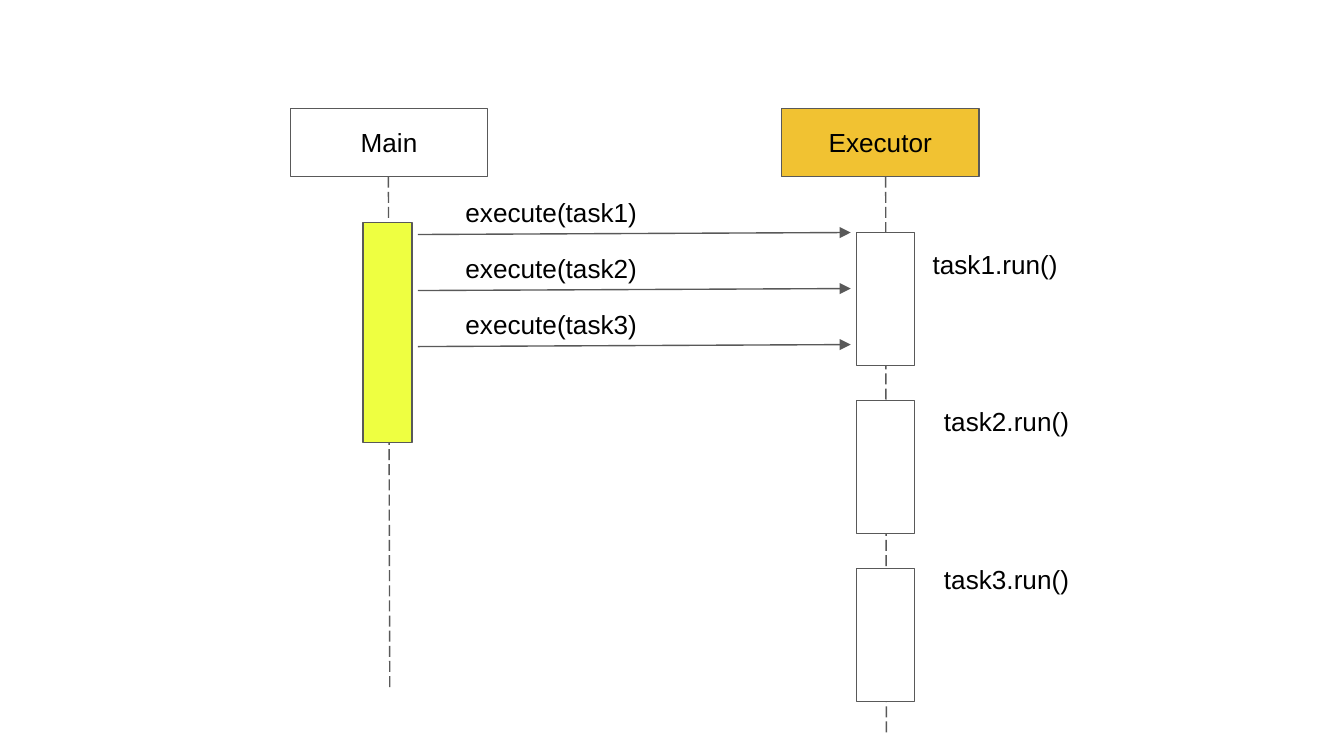
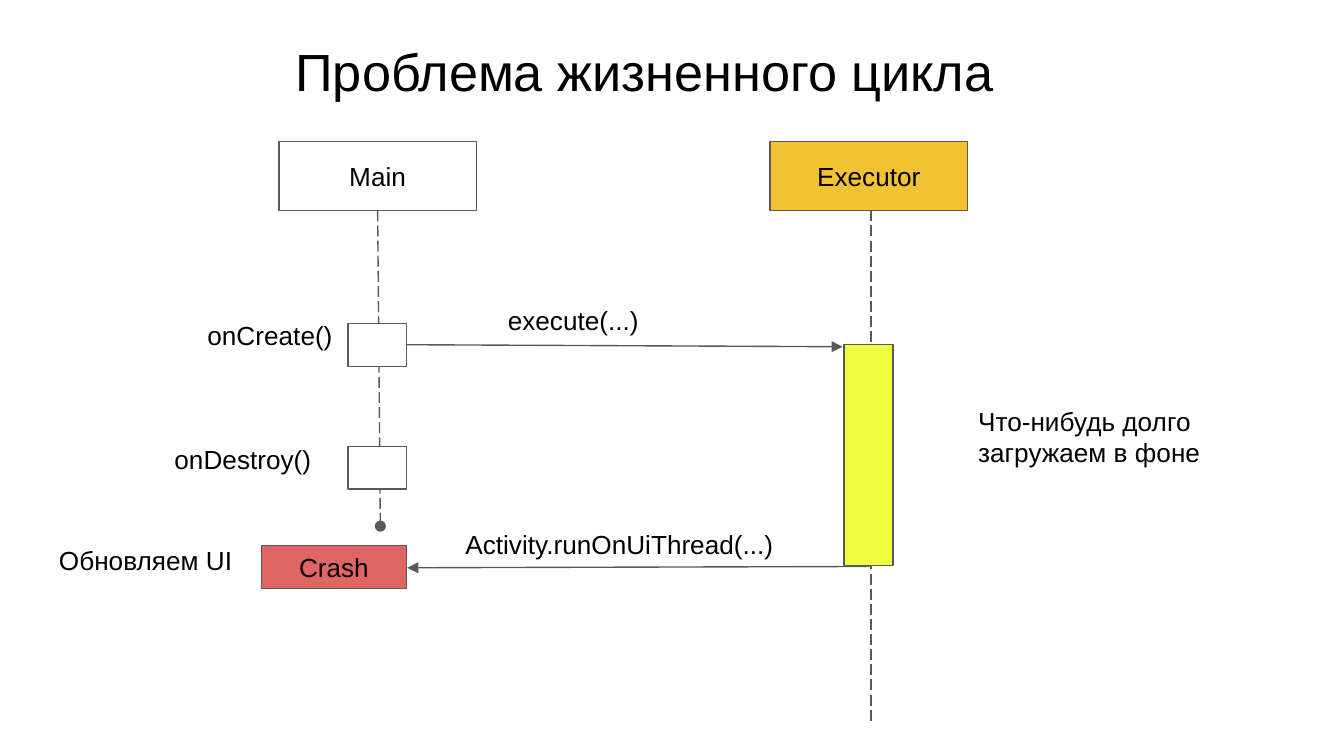
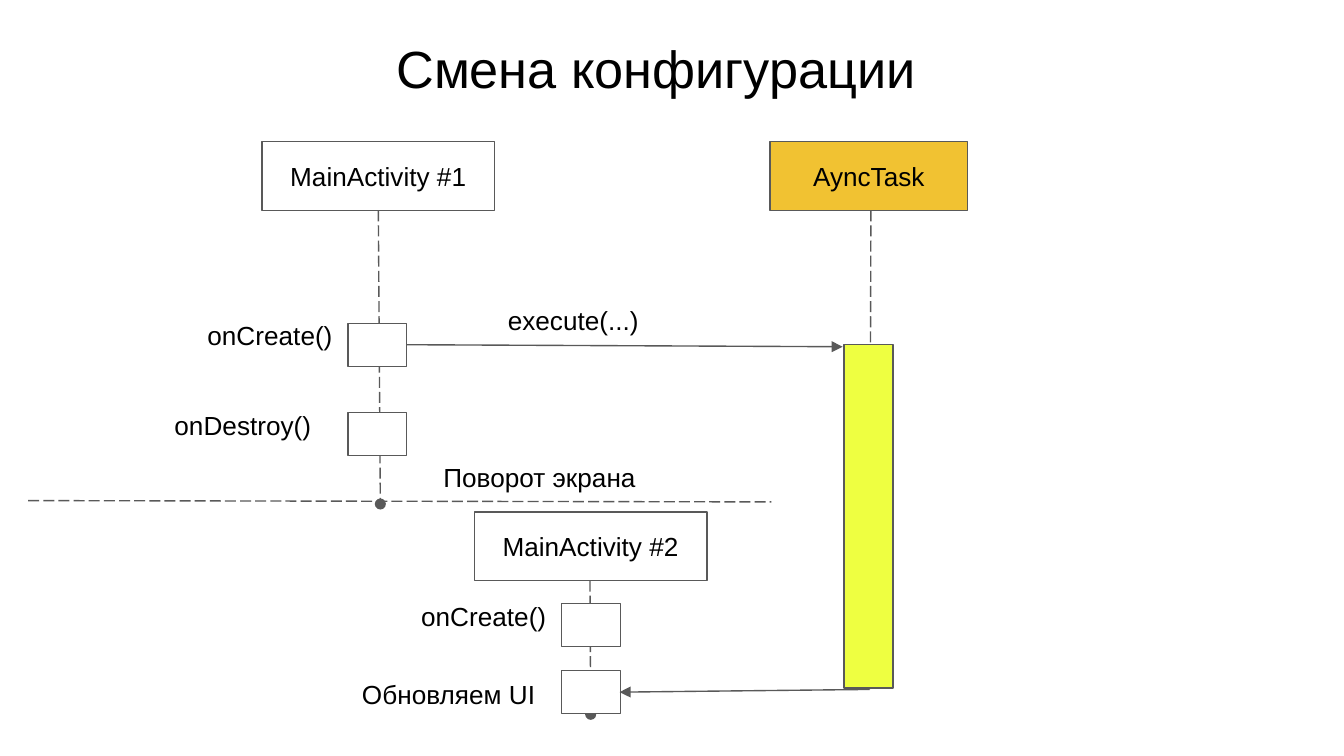
from dataclasses import dataclass
from pptx import Presentation
from pptx.dml.color import RGBColor as Rgb
from pptx.enum.dml import MSO_LINE as Dash
from pptx.enum.shapes import MSO_CONNECTOR as Wire, MSO_SHAPE as Form
from pptx.enum.text import MSO_ANCHOR as Anchor, MSO_AUTO_SIZE as Fit, PP_ALIGN as Align
from pptx.oxml.ns import qn
from pptx.util import Inches, Pt
from lxml.etree import SubElement as Sub


@dataclass(frozen=True)
class Theme:
    font: str = "Arial"
    ink: Rgb = Rgb(0, 0, 0)
    line: Rgb = Rgb(0x59, 0x59, 0x59)
    plain: Rgb = Rgb(255, 255, 255)
    gold: Rgb = Rgb(0xF1, 0xC2, 0x32)
    lime: Rgb = Rgb(0xEE, 0xFF, 0x41)
    red: Rgb = Rgb(0xE0, 0x66, 0x66)
    title: int = 28
    body: int = 14
    rule: float = 0.75


T = Theme()

# Grid of 100 columns by 56.25 rows, each a tenth of an inch
CELL = Inches(0.1)
COLS, ROWS = 100, 56.25


def emu(*cells):
    return [round(n * CELL) for n in cells]


@dataclass(frozen=True)
class Box:
    x: float
    y: float
    w: float
    h: float

    def sub(self, part):
        """Shift a part given relative to this box."""
        return Box(self.x + part.x, self.y + part.y, part.w, part.h)

    def spot(self, x, y):
        return self.x + x, self.y + y

    def emu(self):
        return emu(self.x, self.y, self.w, self.h)


@dataclass(frozen=True)
class Note:
    text: str
    box: Box  # relative to its bar or region


@dataclass(frozen=True)
class Bar:
    box: Box  # relative to the lane's head
    fill: Rgb = T.plain
    text: str = ""
    note: Note = None


PAGE = Box(0, 0, COLS, ROWS)


# Basic parts
def write(frame, text, size=T.body, align=Align.LEFT, anchor=Anchor.TOP):
    frame.word_wrap, frame.auto_size = True, Fit.NONE
    frame.vertical_anchor = anchor
    frame.margin_left = frame.margin_right = CELL
    frame.margin_top = frame.margin_bottom = CELL
    para = frame.paragraphs[0]
    para.alignment = align
    run = para.add_run()
    run.text = text
    font = run.font
    font.name, font.size, font.color.rgb = T.font, Pt(size), T.ink


def block(slide, box, fill, text=""):
    shape = slide.shapes.add_shape(Form.RECTANGLE, *box.emu())
    shape.shadow.inherit = False
    shape.fill.solid()
    shape.fill.fore_color.rgb = fill
    shape.line.color.rgb, shape.line.width = T.line, Pt(T.rule)
    if text:
        write(shape.text_frame, text, align=Align.CENTER, anchor=Anchor.MIDDLE)


def label(slide, area, note):
    field = slide.shapes.add_textbox(*area.sub(note.box).emu())
    write(field.text_frame, note.text)


def link(slide, start, end, tip=None, dash=False):
    wire = slide.shapes.add_connector(Wire.STRAIGHT, *emu(*start, *end))
    wire.line.color.rgb, wire.line.width = T.line, Pt(T.rule)
    if dash:
        wire.line.dash_style = Dash.LONG_DASH
    props = wire._element.spPr
    if tip:
        Sub(props.find(qn("a:ln")), qn("a:tailEnd"), type=tip)
    Sub(props, qn("a:effectLst"))


# Regions
def heading(slide, box, text):
    title = slide.shapes.title
    title.left, title.top, title.width, title.height = box.emu()
    write(title.text_frame, text, T.title, Align.CENTER, Anchor.MIDDLE)


def lane(slide, head, name, life, bars, fill=T.plain, tip=None):
    """Head, lifeline and bars with their notes."""
    block(slide, head, fill, name)
    start, end = life
    link(slide, head.spot(*start), head.spot(*end), tip, dash=True)
    for bar in bars:
        spot = head.sub(bar.box)
        block(slide, spot, bar.fill, bar.text)
        if bar.note:
            label(slide, spot, bar.note)


def call(slide, area, start, end, note=None):
    """Arrow between two lanes, with its label."""
    link(slide, area.spot(*start), area.spot(*end), "triangle")
    if note:
        label(slide, area, note)


def worker(slide, name, size, end, note=None):
    """Background lane with one long bar."""
    bar = Bar(Box(5.5, 15.1, 3.65, size), T.lime, note=note)
    lane(slide, Box(57.3, 10.55, 14.7, 5.1), name, ((7.5, 5.1), end), [bar], T.gold)


def start_call(slide):
    call(slide, Box(30.3, 21.65, 32.4, 4.1), (0, 4), (32.4, 4.15),
         Note("execute(...)", Box(6.5, 0, 19.4, 4)))


def step(x, y, note=None):
    return Bar(Box(x, y, 4.35, 3.2), note=note)


BORN = Note("onCreate()", Box(-11.45, -1.25, 11.5, 4))
GONE = Note("onDestroy()", Box(-13.9, -1.2, 14, 4))


# Slides
def queue(slide):
    lane(slide, Box(21.6, 8.05, 14.7, 5.1), "Main", ((7.3, 5.1), (7.4, 43.2)),
         [Bar(Box(5.4, 8.5, 3.65, 16.4), T.lime)])
    tasks = [
        Bar(Box(5.6, 9.25 + 12.5 * i, 4.3, 9.9),
            note=Note(f"task{i + 1}.run()",
                      Box(5.5 if i else 4.65, 0.2 - 0.8 * i, 15.5, 4)))
        for i in range(3)]
    lane(slide, Box(58.15, 8.05, 14.7, 5.1), "Executor", ((7.75, 5.1), (7.8, 46.6)),
         tasks, T.gold)
    for i in range(3):
        area = Box(31.1, 13.6 + 4.17 * i, 32.2, 3.9)
        call(slide, area, (0, 3.85), (32.2, 3.7),
             Note(f"execute(task{i + 1})", Box(2.55, 0, 16.4, 4)))


def cycle(slide):
    heading(slide, Box(1.65, 1.75, 92.6, 7), "Проблема жизненного цикла")
    start_call(slide)
    call(slide, Box(30.3, 38.35, 34.4, 3.8), (34.4, 3.8), (0, 3.9),
         Note("Activity.runOnUiThread(...)", Box(3.35, 0, 26, 4)))
    crash = Bar(Box(-1.3, 30.05, 10.8, 3.2), T.red, "Crash",
                Note("Обновляем UI", Box(-16.05, -1.1, 15.5, 4)))
    lane(slide, Box(20.75, 10.55, 14.7, 5.1), "Main", ((7.35, 5.1), (7.55, 28.6)),
         [step(5.15, 13.5, BORN), step(5.15, 22.65, GONE), crash], tip="oval")
    worker(slide, "Executor", 16.45, (7.5, 43.2),
           Note("Что-нибудь долго загружаем в фоне", Box(9, 3.5, 19.4, 7)))


def rotate(slide):
    heading(slide, Box(1.7, 1.7, 94.2, 6.7), "Смена конфигурации")
    start_call(slide)
    lane(slide, Box(19.5, 10.55, 17.3, 5.1), "MainActivity #1",
         ((8.65, 5.1), (8.8, 26.95)),
         [step(6.4, 13.5, BORN), step(6.4, 20.15, GONE)], tip="oval")
    worker(slide, "AyncTask", 25.55, (7.4, 40.75))
    # Screen turn
    link(slide, (2.1, 37.25), (57.4, 37.35), dash=True)
    label(slide, PAGE, Note("Поворот экрана", Box(32, 33.35, 26, 4)))
    # Second activity
    fresh = Note("Обновляем UI", Box(-15.85, -0.4, 15.5, 4))
    lane(slide, Box(35.3, 38.1, 17.3, 5.1), "MainActivity #2",
         ((8.6, 5.1), (8.65, 15.05)),
         [step(6.5, 6.8, BORN), step(6.5, 11.8, fresh)], tip="oval")
    call(slide, Box(46.1, 51.3, 18.6, 0.2), (18.6, 0), (0, 0.2))


def main():
    deck = Presentation()
    deck.slide_width, deck.slide_height = emu(COLS, ROWS)
    only, blank = deck.slide_layouts[5], deck.slide_layouts[6]
    for layout, draw in ((blank, queue), (only, cycle), (only, rotate)):
        draw(deck.slides.add_slide(layout))
    deck.save("out.pptx")


if __name__ == "__main__":
    main()
